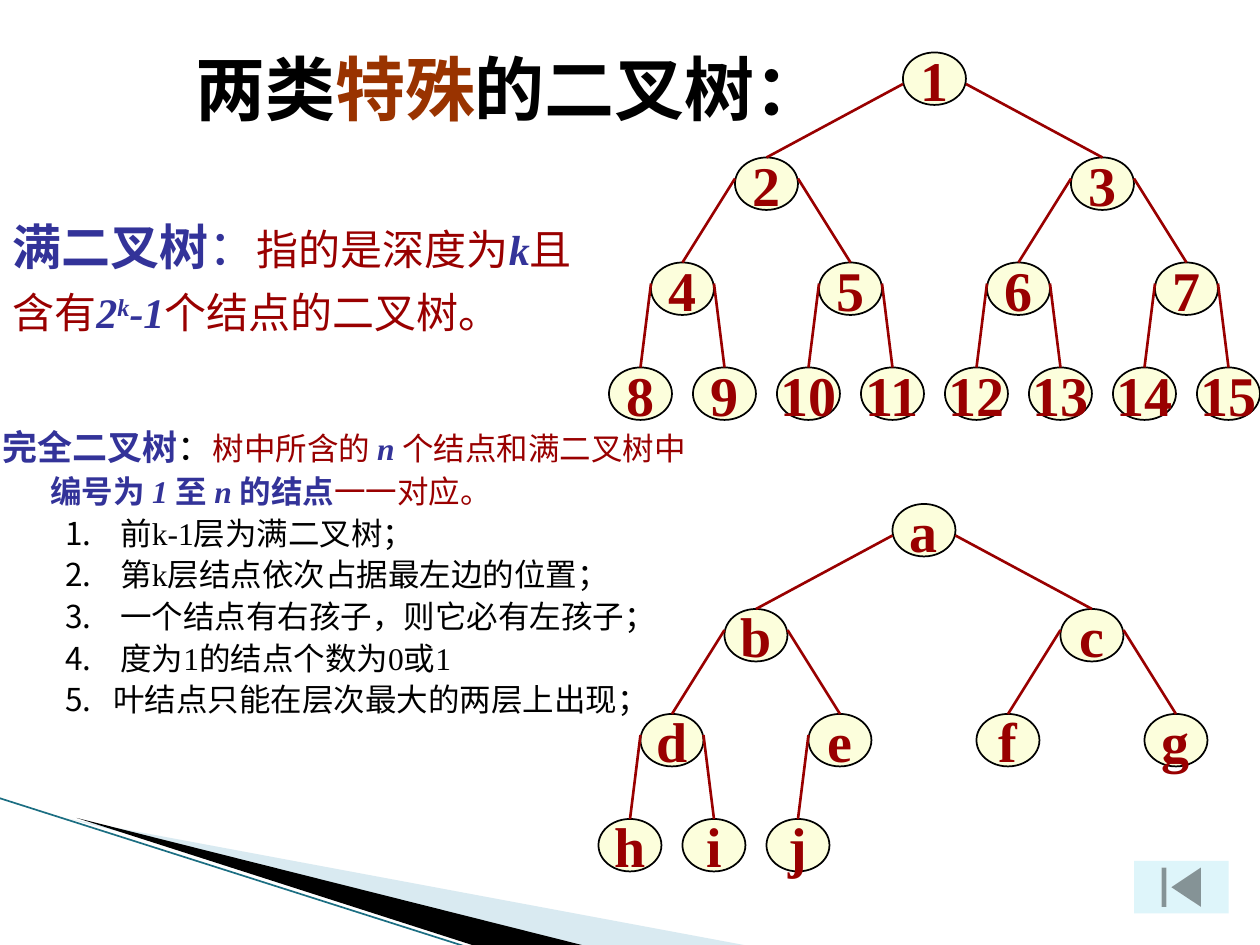
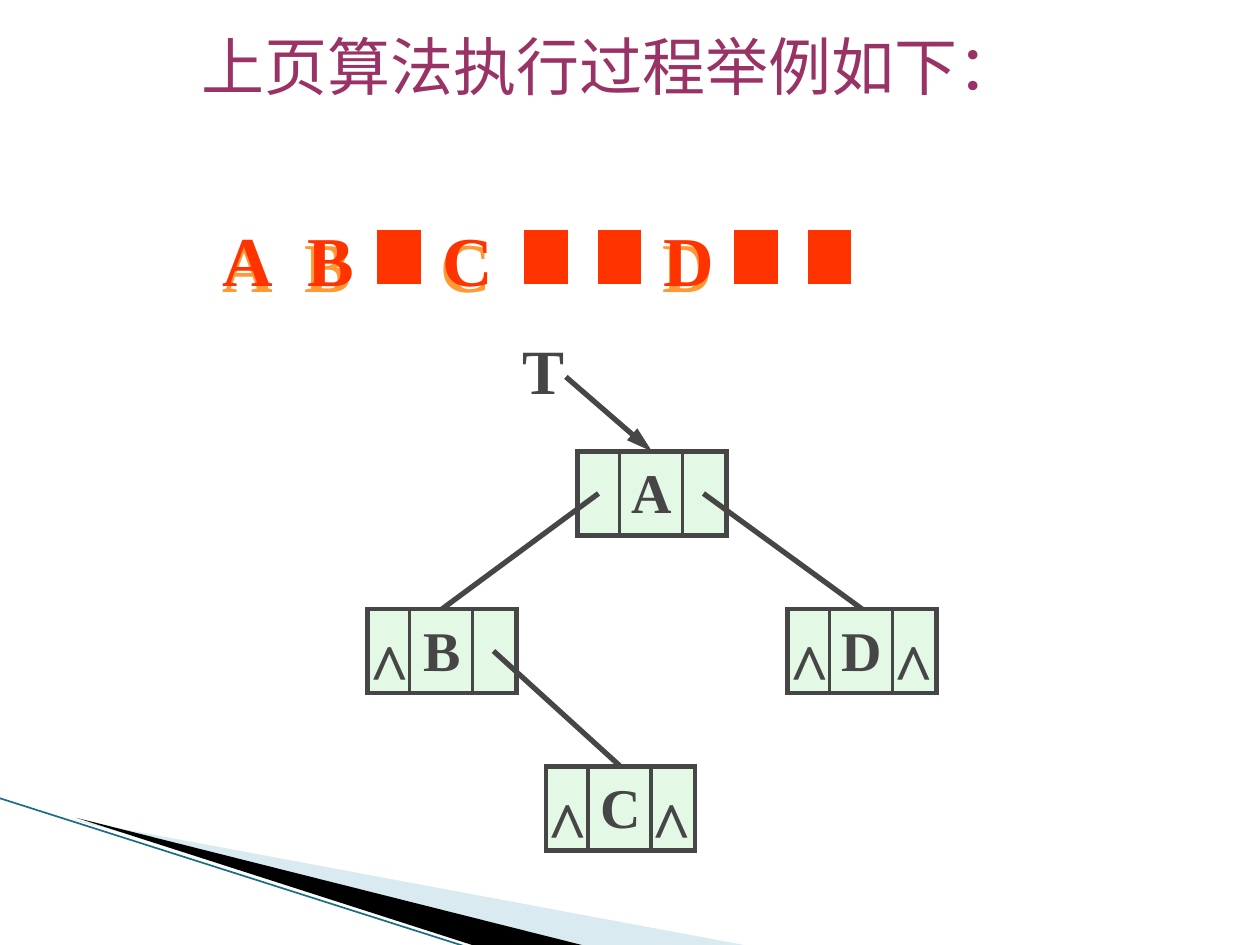
"""Build two slides on special binary trees and on building a linked tree."""
from typing import NamedTuple, Optional

from lxml.etree import SubElement
from pptx import Presentation
from pptx.dml.color import RGBColor
from pptx.enum.shapes import MSO_CONNECTOR, MSO_SHAPE
from pptx.enum.text import MSO_ANCHOR, MSO_AUTO_SIZE as AUTO_SIZE, PP_ALIGN
from pptx.oxml.ns import qn
from pptx.util import Pt

SCALE = 7620
LATIN = "Times New Roman"
CJK = "Noto Sans CJK SC"

BLACK = RGBColor(0x00, 0x00, 0x00)
RUST = RGBColor(0x99, 0x33, 0x00)
INDIGO = RGBColor(0x33, 0x33, 0x99)
MAROON = RGBColor(0x99, 0x00, 0x00)
PLUM = RGBColor(0x99, 0x33, 0x66)
CREAM = RGBColor(0xFC, 0xFE, 0xDC)
ICE = RGBColor(0xDE, 0xF5, 0xFA)
PALE_BLUE = RGBColor(0xA0, 0xCB, 0xDC)
TEAL = RGBColor(0x1B, 0x6E, 0x82)
ORANGE = RGBColor(0xFF, 0x99, 0x33)
RED = RGBColor(0xFF, 0x33, 0x00)
GRAPHITE = RGBColor(0x46, 0x46, 0x46)
MINT = RGBColor(0xCA, 0xF2, 0xCE)


class Run(NamedTuple):
    text: str
    size: int
    color: RGBColor
    bold: bool = False
    italic: bool = False
    raised: bool = False
    font: str = LATIN


class Para(NamedTuple):
    runs: list[Run]
    level: int = 0
    margin: int = 0
    indent: int = 0
    numbered: bool = False


class Tree(NamedTuple):
    left: int
    top: int
    labels: list[str]


class Letter(NamedTuple):
    text: str
    left: int
    shade_left: int


class ListNode(NamedTuple):
    label: str
    left: int
    top: int
    left_null: bool
    right_null: bool


class Link(NamedTuple):
    parent: str
    child: str
    field_x: int


TREES = [
    Tree(860, 50, [str(number) for number in range(1, 16)]),
    Tree(850, 480, list("abcdefghij")),
]
LIST_NODES = [
    ListNode("A", 550, 430, False, False),
    ListNode("B", 350, 580, True, False),
    ListNode("C", 520, 730, True, True),
    ListNode("D", 750, 580, True, True),
]
LINKS = [Link("A", "B", 20), Link("B", "C", 120), Link("A", "D", 120)]
LETTERS = [
    Letter("A", 200, 200),
    Letter("B", 281, 278),
    Letter("C", 410, 408),
    Letter("D", 620, 619),
]
BLANK_LEFTS = [360, 500, 570, 700, 770]
PROPERTIES = [
    " 前k-1层为满二叉树；",
    " 第k层结点依次占据最左边的位置；",
    " 一个结点有右孩子，则它必有左孩子；",
    " 度为1的结点个数为0或1",
    "叶结点只能在层次最大的两层上出现；",
]


def px(length: int) -> int:
    return length * SCALE


def place(shape, left: int, top: int, width: int, height: int) -> None:
    shape.left, shape.top = px(left), px(top)
    shape.width, shape.height = px(width), px(height)


def write(shape, paras: list[Para], *, pitch: float, align=PP_ALIGN.LEFT,
          anchor=MSO_ANCHOR.TOP, wrap: bool = False, fit=AUTO_SIZE.NONE) -> None:
    frame = shape.text_frame
    frame.word_wrap, frame.auto_size = wrap, fit
    frame.vertical_anchor = anchor
    for index, para in enumerate(paras):
        line = frame.add_paragraph() if index else frame.paragraphs[0]
        line.alignment, line.level = align, para.level
        line.line_spacing = Pt(round(pitch, 1))
        line.space_before = Pt(0)
        props = line._p.get_or_add_pPr()
        props.set("marL", str(px(para.margin)))
        props.set("indent", str(px(para.indent)))
        if para.numbered:
            SubElement(props, qn("a:buFont"), typeface=CJK)
            SubElement(props, qn("a:buAutoNum"), type="arabicPeriod")
        else:
            SubElement(props, qn("a:buNone"))
        for part in para.runs:
            run = line.add_run()
            run.text = part.text
            run.font.name, run.font.size = part.font, Pt(part.size)
            run.font.bold, run.font.italic = part.bold, part.italic
            run.font.color.rgb = part.color
            run_props = run._r.get_or_add_rPr()
            SubElement(run_props, qn("a:ea"), typeface=CJK)
            if part.raised:
                run_props.set("baseline", "30000")


def add_text(slide, box: tuple[int, int, int, int], paras: list[Para], **layout) -> None:
    label = slide.shapes.add_textbox(*map(px, box))
    write(label, paras, **layout)


def add_letter(slide, text: str, left: int, top: int, size: int, color: RGBColor) -> None:
    add_text(slide, (left, top, 70, 92), [Para([Run(text, size, color, bold=True)])],
             pitch=1.2 * size, fit=AUTO_SIZE.SHAPE_TO_FIT_TEXT)


def set_title(slide, box: tuple[int, int, int, int], runs: list[Run]) -> None:
    title = slide.shapes.title
    place(title, *box)
    write(title, [Para(runs)], pitch=1.2 * runs[0].size,
          fit=AUTO_SIZE.SHAPE_TO_FIT_TEXT)


def paint(shape, fill: RGBColor, *, opacity: int = 100,
          line: Optional[RGBColor] = None, weight: float = 1) -> None:
    shape.shadow.inherit = False
    shape.fill.solid()
    shape.fill.fore_color.rgb = fill
    if opacity < 100:
        color = shape._element.spPr.find(qn("a:solidFill"))[0]
        SubElement(color, qn("a:alpha"), val=str(opacity * 1000))
    if line is None:
        shape.line.fill.background()
    else:
        shape.line.color.rgb = line
        shape.line.width = Pt(weight)
        SubElement(shape.line._get_or_add_ln(), qn("a:miter"), lim="800000")


def add_figure(slide, kind, box: tuple[int, int, int, int], fill: RGBColor, **style):
    figure = slide.shapes.add_shape(kind, *map(px, box))
    paint(figure, fill, **style)
    return figure


def add_line(slide, start: tuple[int, int], end: tuple[int, int], color: RGBColor,
             weight: float, *, target=None, arrow: bool = False) -> None:
    line = slide.shapes.add_connector(MSO_CONNECTOR.STRAIGHT, *map(px, start + end))
    line.line.color.rgb, line.line.width = color, Pt(weight)
    if target is not None:
        line.end_connect(target, 0)
    if arrow:
        SubElement(line.line._get_or_add_ln(), qn("a:tailEnd"), type="triangle", len="lg")
    SubElement(line._element.spPr, qn("a:effectLst"))


def add_corner_bands(slide) -> None:
    bands = [
        ([(66, 780), (714, 901), (547, 901)], PALE_BLUE, 40),
        ([(73, 779), (558, 901), (456, 902)], BLACK, 100),
    ]
    for points, color, opacity in bands:
        outline = slide.shapes.build_freeform(*points[0], scale=SCALE)
        outline.add_line_segments(points[1:], close=True)
        paint(outline.convert_to_shape(), color, opacity=opacity)
    add_line(slide, (-1, 760), (445, 902), TEAL, 0.95)


def draw_tree(slide, tree: Tree) -> None:
    spots = {1: (tree.left, tree.top)}
    for number, label in enumerate(tree.labels, 1):
        if number > 1:
            parent_left, parent_top = spots[number // 2]
            shift = 320 >> (number.bit_length() - 1)
            side = 1 if number % 2 else -1
            spots[number] = (parent_left + side * shift, parent_top + 100)
        left, top = spots[number]
        node = add_figure(slide, MSO_SHAPE.OVAL, (left, top, 60, 50), CREAM, line=BLACK)
        write(node, [Para([Run(label, 32, MAROON, bold=True)])], pitch=38.4,
              align=PP_ALIGN.CENTER, anchor=MSO_ANCHOR.MIDDLE)
        if number > 1:
            start = (parent_left + (60 if number % 2 else 0),
                     parent_top + (30 if number < 4 else 20))
            add_line(slide, start, (left + 30, top), MAROON, 1.5, target=node)


def draw_list_node(slide, node: ListNode):
    box = add_figure(slide, MSO_SHAPE.RECTANGLE, (node.left, node.top, 142, 80), MINT,
                     opacity=50, line=GRAPHITE, weight=2.5)
    write(box, [Para([Run(node.label, 32, GRAPHITE, bold=True)])], pitch=38.4,
          align=PP_ALIGN.CENTER, wrap=True)
    for offset in (40, 100):
        divider = node.left + offset
        add_line(slide, (divider, node.top), (divider, node.top + 80), GRAPHITE, 2.25)
    for is_null, offset in ((node.left_null, -10), (node.right_null, 89)):
        if is_null:
            add_letter(slide, "^", node.left + offset, node.top + 8, 40, GRAPHITE)
    return box


def build_special_trees(prs) -> None:
    slide = prs.slides.add_slide(prs.slide_layouts[1])
    add_corner_bands(slide)
    set_title(slide, (174, 37, 626, 92), [
        Run("两类", 40, BLACK, bold=True),
        Run("特殊", 40, RUST, bold=True),
        Run("的二叉树：", 40, BLACK, bold=True),
    ])
    full_tree = [
        Run("满二叉树", 28, INDIGO, bold=True),
        Run("：", 28, INDIGO),
        Run("指的是深度为", 24, MAROON),
        Run("k", 24, INDIGO, bold=True, italic=True),
        Run("且含有", 24, MAROON),
        Run("2", 24, INDIGO, bold=True, italic=True),
        Run("k", 24, INDIGO, bold=True, italic=True, raised=True),
        Run("-1", 24, INDIGO, bold=True, italic=True),
        Run("个结点的二叉树。", 24, MAROON),
    ]
    add_text(slide, (0, 197, 590, 137), [Para(full_tree)], pitch=35.5, wrap=True)
    complete_tree = [
        Run("完全二叉树", 20, INDIGO, bold=True),
        Run("：", 20, BLACK),
        Run("树中所含的 ", 18, MAROON),
        Run("n ", 18, INDIGO, bold=True, italic=True),
        Run("个结点和满二叉树中", 18, MAROON),
        Run("编号为 ", 18, INDIGO, bold=True),
        Run("1 ", 18, INDIGO, bold=True, italic=True),
        Run("至 ", 18, INDIGO, bold=True),
        Run("n ", 18, INDIGO, bold=True, italic=True),
        Run("的结点", 18, INDIGO, bold=True),
        Run("一一对应。", 18, MAROON),
    ]
    body = slide.placeholders[1]
    place(body, -10, 400, 694, 294)
    write(body, [Para(complete_tree, margin=46, indent=-46)] + [
        Para([Run(text, 18, BLACK)], level=1, margin=106, indent=-46, numbered=True)
        for text in PROPERTIES
    ], pitch=23.8, wrap=True)
    for tree in TREES:
        draw_tree(slide, tree)
    add_figure(slide, MSO_SHAPE.ACTION_BUTTON_BEGINNING, (1080, 820, 90, 50), ICE)


def build_linked_tree(prs) -> None:
    slide = prs.slides.add_slide(prs.slide_layouts[5])
    add_corner_bands(slide)
    set_title(slide, (180, 20, 804, 84),
              [Run("上页算法执行过程举例如下：", 36, PLUM, font=CJK)])
    for letter in LETTERS:
        add_letter(slide, letter.text, letter.shade_left, 206, 40, ORANGE)
        add_letter(slide, letter.text, letter.left, 200, 40, RED)
    for left in BLANK_LEFTS:
        add_figure(slide, MSO_SHAPE.RECTANGLE, (left, 220, 40, 50), RED, line=RED)
    boxes = {node.label: draw_list_node(slide, node) for node in LIST_NODES}
    spots = {node.label: (node.left, node.top) for node in LIST_NODES}
    for link in LINKS:
        left, top = spots[link.parent]
        child_left, child_top = spots[link.child]
        add_line(slide, (left + link.field_x, top + 40), (child_left + 71, child_top),
                 GRAPHITE, 3, target=boxes[link.child])
    add_letter(slide, "T", 486, 310, 36, GRAPHITE)
    add_line(slide, (539, 359), (621, 430), GRAPHITE, 3, target=boxes["A"], arrow=True)


def main() -> None:
    prs = Presentation()
    prs.slide_width, prs.slide_height = px(1200), px(900)
    build_special_trees(prs)
    build_linked_tree(prs)
    prs.save("out.pptx")


if __name__ == "__main__":
    main()
